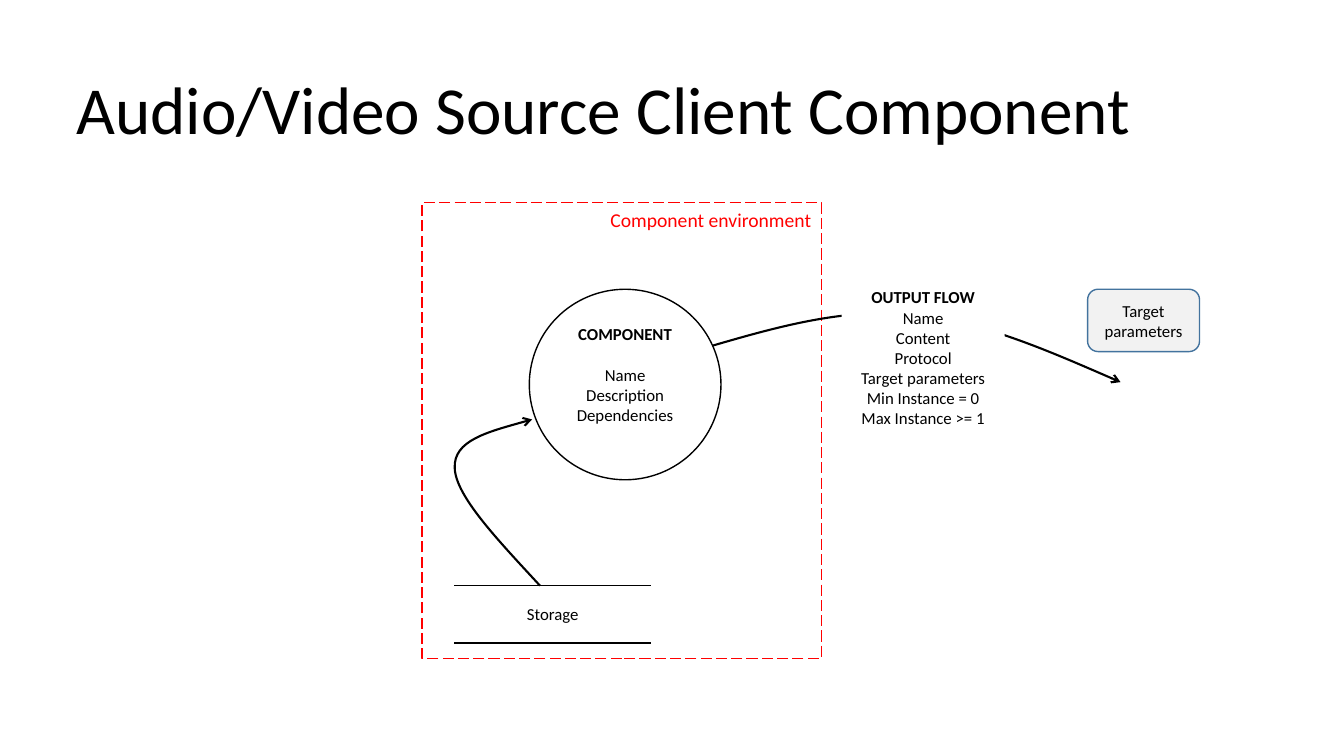
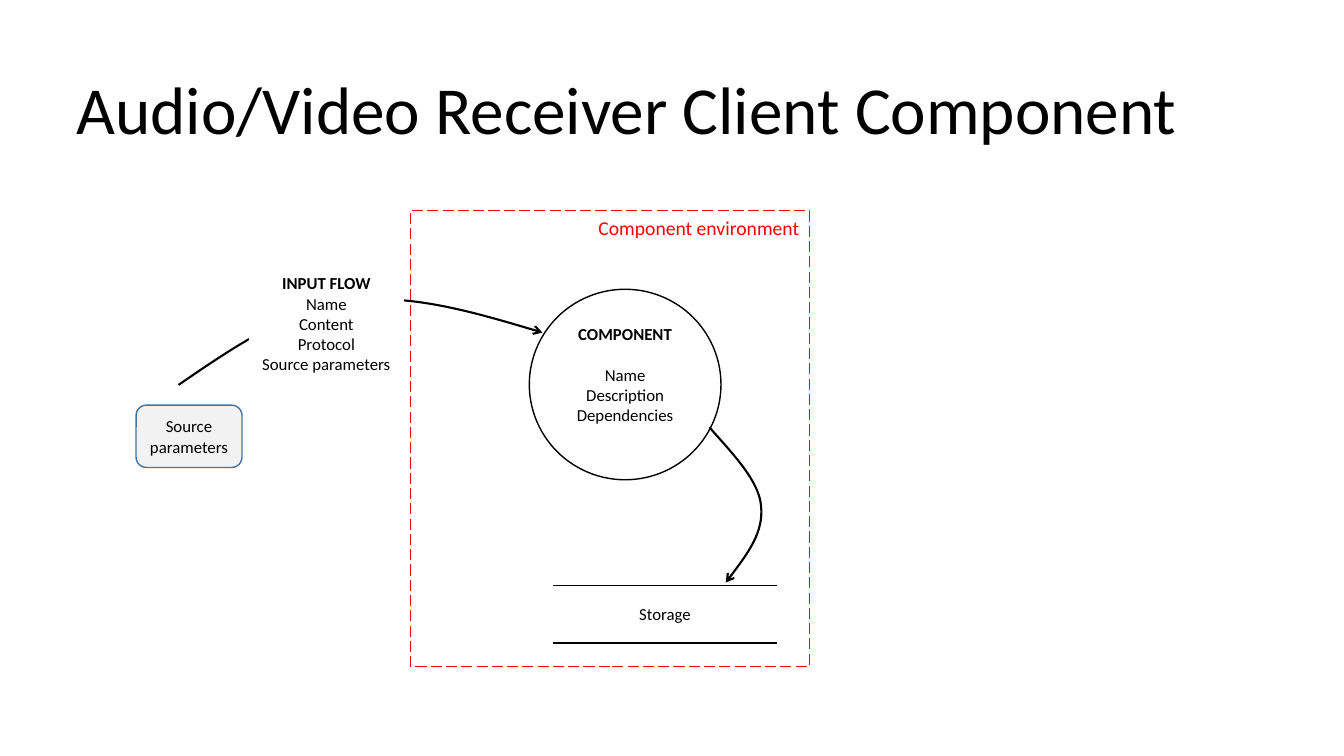
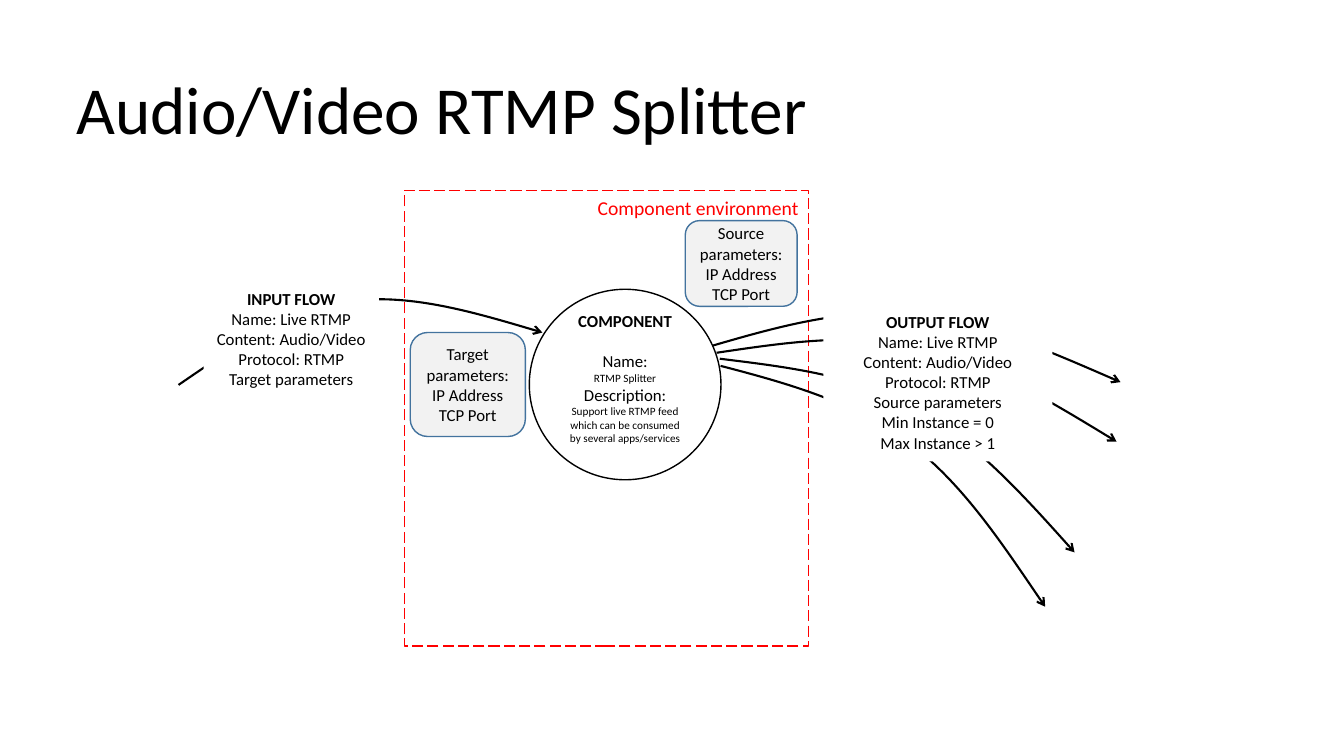
from lxml import etree
from pptx import Presentation
from pptx import util as u
from pptx.dml.color import RGBColor
from pptx.enum import dml, shapes, text
from pptx.oxml import ns
from pptx.util import Cm

BLACK = RGBColor(0x00, 0x00, 0x00)
WHITE = RGBColor(0xFF, 0xFF, 0xFF)
RED = RGBColor(0xFF, 0x00, 0x00)
GREY = RGBColor(0xF2, 0xF2, 0xF2)
BLUE = RGBColor(0x43, 0x73, 0x9E)
FONT = "Calibri"
BODY, SMALL, LABEL, TITLE = 12, 8, 14, 48
LINE_HEIGHT = 1.22  # line height of the font, as a share of its size

# Boxes are left, top, width, height; curves are Bezier points. All in cm.
TITLE_BOX = (1.68, 0.97, 30.4, 2.92)
COMPONENT_BOX = (13.34, 7.29, 4.83, 4.8)
COMPONENT_LINES = ["Name", "Description", "Dependencies"]
INPUT_CURVE = [(4.5, 9.7), (5.87, 8.76), (7.24, 7.82), (8.76, 7.59),
               (10.29, 7.39), (11.96, 7.87), (13.67, 8.38)]
OUTPUT_CURVE = [(17.96, 8.71), (19.61, 8.23), (21.26, 7.77), (22.96, 7.92),
                (24.69, 8.08), (26.47, 8.86), (28.24, 9.63)]
SPLIT_CURVES = [
    [(18.14, 9.04), (19.84, 9.25), (21.54, 9.45), (23.01, 10.26),
     (24.51, 11.07), (25.81, 12.5), (27.08, 13.92)],
    [(18.16, 9.22), (19.81, 9.65), (21.46, 10.11), (22.83, 11.1),
     (24.21, 12.12), (25.27, 13.72), (26.34, 15.29)],
    [(18.06, 8.89), (19.74, 8.64), (21.44, 8.38), (23.14, 8.74),
     (24.82, 9.12), (26.47, 10.11), (28.14, 11.13)],
]
FROM_STORAGE = [(13.61, 14.76), (12.55, 13.61), (11.48, 12.5), (11.46, 11.79),
                (11.43, 11.1), (12.42, 10.85), (13.41, 10.57)]
TO_STORAGE = [(17.88, 10.77), (18.49, 11.46), (19.13, 12.12), (19.18, 12.75),
              (19.25, 13.41), (18.77, 14.05), (18.29, 14.68)]


def write(shape, lines, size=BODY, color=BLACK, align=text.PP_ALIGN.CENTER,
          anchor=text.MSO_ANCHOR.MIDDLE):
    """Write one paragraph per line and return the paragraphs."""
    frame = shape.text_frame
    frame.text = "\n".join(lines)
    frame.word_wrap = True
    frame.vertical_anchor = anchor
    for para in frame.paragraphs:
        para.alignment = align
        for span in para.runs:
            span.font.name = FONT
            span.font.size = u.Pt(size)
            span.font.color.rgb = color
    return frame.paragraphs


def add_box(page, box, kind=shapes.MSO_SHAPE.RECTANGLE, fill=WHITE, line=None):
    shape = page.shapes.add_shape(kind, *map(Cm, box))
    shape.shadow.inherit = False
    shape.fill.solid()
    shape.fill.fore_color.rgb = fill
    if line is None:
        shape.line.fill.background()
    else:
        shape.line.color.rgb = line
        shape.line.width = u.Pt(1)
    return shape


def add_title(page, title):
    shape = page.shapes.add_textbox(*map(Cm, TITLE_BOX))
    para, = write(shape, [title], TITLE, align=text.PP_ALIGN.LEFT,
                  anchor=text.MSO_ANCHOR.BOTTOM)
    para.line_spacing = 0.9


def add_environment(page, box):
    shape = add_box(page, box, line=RED)
    shape.line.dash_style = dml.MSO_LINE.LONG_DASH
    write(shape, ["Component environment"], LABEL, RED,
          text.PP_ALIGN.RIGHT, text.MSO_ANCHOR.TOP)


def add_component(page, lines=COMPONENT_LINES, small=()):
    """Draw the circle; the lines whose numbers are in small get small text."""
    shape = add_box(page, COMPONENT_BOX, shapes.MSO_SHAPE.OVAL, line=BLACK)
    heading, *details = write(shape, ["COMPONENT", *lines])
    heading.runs[0].font.bold = True
    heading.space_after = u.Pt(BODY * LINE_HEIGHT)
    for number in small:
        details[number].runs[0].font.size = u.Pt(SMALL)
    last_size = details[-1].runs[0].font.size
    shape.text_frame.margin_bottom = Cm(0.13) + int(last_size * LINE_HEIGHT)


def add_flow(page, box, heading, lines):
    paras = write(add_box(page, box), [heading, *lines],
                  anchor=text.MSO_ANCHOR.TOP)
    paras[0].runs[0].font.bold = True


def add_parameters(page, box, *lines):
    write(add_box(page, box, shapes.MSO_SHAPE.ROUNDED_RECTANGLE, GREY, BLUE),
          lines)


def add_storage(page, box):
    """Draw a label between two rules that reach a little past its sides."""
    left, top, width, height = box
    write(add_box(page, box), ["Storage"])
    overhang, inset = 0.13, 0.18
    for y in (top + inset, top + height - inset):
        rule = page.shapes.add_connector(
            shapes.MSO_CONNECTOR.STRAIGHT, Cm(left - overhang), Cm(y),
            Cm(left + width + overhang), Cm(y))
        rule.line.color.rgb = BLACK
        rule.line.width = u.Pt(1)
        etree.SubElement(rule.element.spPr, ns.qn("a:effectLst"))


def add_curve(page, points):
    """Draw an arrow along Bezier points: a start, then three per segment."""
    start, *rest = [(Cm(x), Cm(y)) for x, y in points]
    builder = page.shapes.build_freeform(*start)
    builder.add_line_segments(rest, close=False)
    curve = builder.convert_to_shape()
    curve.shadow.inherit = False
    curve.fill.background()
    curve.line.color.rgb = BLACK
    curve.line.width = u.Pt(1.5)
    steps = list(curve.element.iter(ns.qn("a:lnTo")))
    for first in range(0, len(steps), 3):
        bend = etree.Element(ns.qn("a:cubicBezTo"))
        steps[first].addprevious(bend)
        for step in steps[first:first + 3]:
            bend.append(step[0])
            step.getparent().remove(step)
    outline = curve.element.spPr.find(ns.qn("a:ln"))
    etree.SubElement(outline, ns.qn("a:tailEnd"), type="arrow")


def add_page(deck, title, environment):
    page = deck.slides.add_slide(deck.slide_layouts[6])
    add_environment(page, environment)
    add_title(page, title)
    return page


def build_source(deck):
    page = add_page(deck, "Audio/Video Source Client Component",
                    (10.64, 5.11, 10.06, 11.48))
    add_component(page)
    add_curve(page, OUTPUT_CURVE)
    add_flow(page, (21.21, 7.11, 4.11, 3.91), "OUTPUT FLOW",
             ["Name", "Content", "Protocol", "Target parameters",
              "Min Instance = 0", "Max Instance >= 1"])
    add_storage(page, (11.58, 14.58, 4.7, 1.8))
    add_curve(page, FROM_STORAGE)
    add_parameters(page, (27.41, 7.29, 2.82, 1.57), "Target parameters")


def build_receiver(deck):
    page = add_page(deck, "Audio/Video Receiver Client Component",
                    (10.34, 5.31, 10.06, 11.48))
    add_component(page)
    add_curve(page, INPUT_CURVE)
    add_flow(page, (6.27, 6.76, 3.91, 2.77), "INPUT FLOW",
             ["Name", "Content", "Protocol", "Source parameters"])
    add_parameters(page, (3.43, 10.21, 2.67, 1.57), "Source parameters")
    add_storage(page, (14.07, 14.58, 5.38, 1.8))
    add_curve(page, TO_STORAGE)


def build_splitter(deck):
    page = add_page(deck, "Audio/Video RTMP Splitter",
                    (10.19, 4.8, 10.19, 11.48))
    add_component(page, [
        "Name:", "RTMP Splitter", "Description:",
        "Support live RTMP feed which can be consumed by several apps/services",
    ], small=(1, 3))
    live = ["Name: Live RTMP", "Content: Audio/Video", "Protocol: RTMP"]
    address = ["IP Address", "TCP Port"]
    add_curve(page, OUTPUT_CURVE)
    add_parameters(page, (17.27, 5.56, 2.82, 2.16),
                   "Source parameters:", *address)
    add_curve(page, INPUT_CURVE)
    add_flow(page, (5.13, 7.14, 4.42, 3.4), "INPUT FLOW",
             [*live, "Target parameters"])
    add_parameters(page, (10.34, 8.38, 2.9, 2.62),
                   "Target parameters:", *address)
    for points in SPLIT_CURVES:
        add_curve(page, points)
    add_flow(page, (20.75, 7.72, 5.77, 3.91), "OUTPUT FLOW",
             [*live, "Source parameters", "Min Instance = 0",
              "Max Instance > 1"])


def main():
    deck = Presentation()
    deck.slide_width, deck.slide_height = Cm(33.87), Cm(19.05)
    for build in (build_source, build_receiver, build_splitter):
        build(deck)
    deck.save("out.pptx")


if __name__ == "__main__":
    main()
